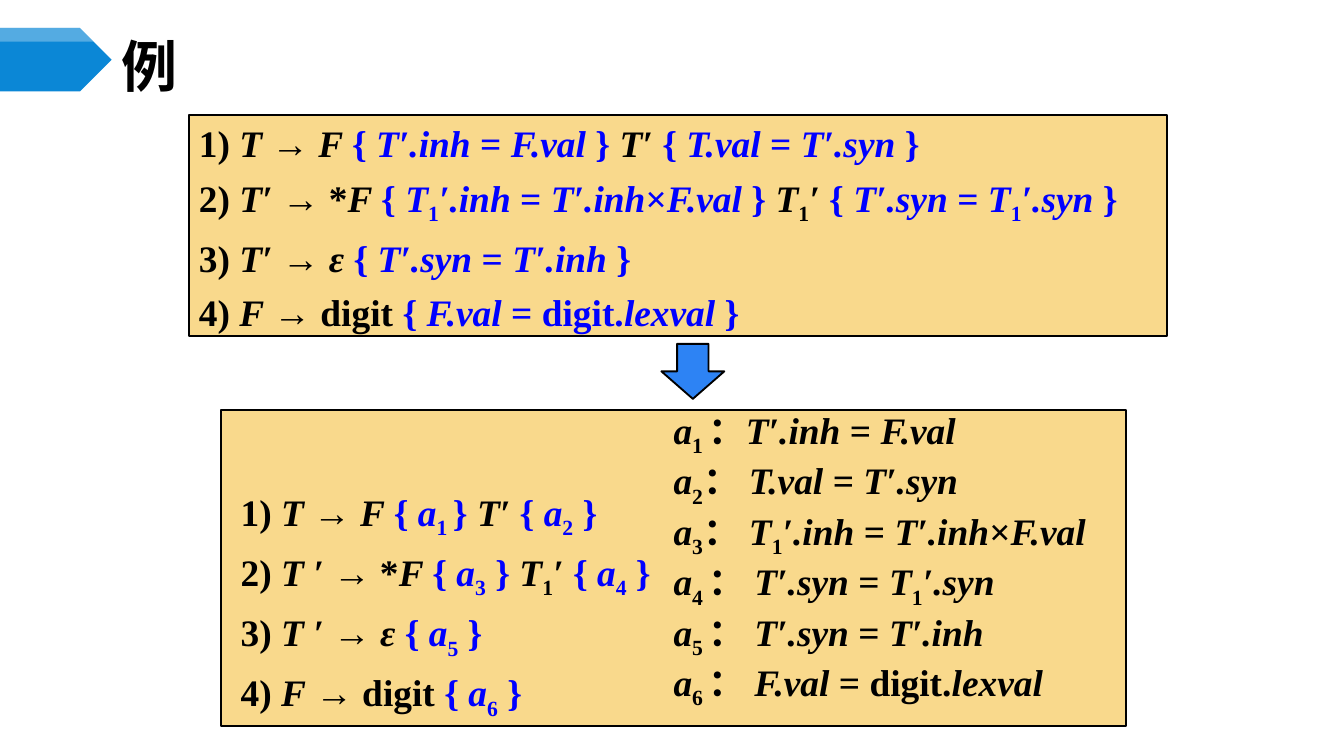
from lxml import etree
from pptx import Presentation, util as u
from pptx.dml.color import RGBColor
from pptx.enum import shapes, text
from pptx.oxml.ns import qn

FONT = "Times New Roman"
TITLE_FONT = "Noto Sans CJK SC"
BLACK, BLUE, SAND = "000000", "0000FF", "F9D98C"

# Markup: "/" toggles italic, "|" toggles blue, "~" toggles subscript
SCHEME = [
    "1) /T /→ /F /|{ /T′.inh /= /F.val/ } |/T′ /|{ /T.val /= /T′.syn/ }|",
    "2) /T′ /→ */F /|{ /T/~1~/′.inh /= /T′.inh/×/F.val/ } |/T/~1~/′ /"
    "|{ /T′.syn /= /T/~1~/′.syn/ }|",
    "3) /T′ /→ /ε /|{ /T′.syn /= /T′.inh/ }|",
    "4) /F/ → digit |{ /F.val/ = digit./lexval/ }|",
]
PRODUCTIONS = [
    "1) /T /→ /F /|{ /a/~1 ~} |/T′ /|{ /a/~2~ }|",
    "2) /T ′ /→ */F /|{ /a/~3~ } |/T/~1~/′ /|{ /a/~4~ }|",
    "3) /T ′ /→ /ε /|{ /a/~5~ }|",
    "4) /F/ → digit |{ /a/~6~ }|",
]
ACTIONS = [
    "/a/~1 ~：/T′.inh /= /F.val/",
    "/a/~2~： /T.val /= /T′.syn/",
    "/a/~3~： /T/~1~/′.inh /= /T′.inh/×/F.val/",
    "/a/~4 ~： /T′.syn /= /T/~1~/′.syn/",
    "/a/~5 ~： /T′.syn /= /T′.inh/",
    "/a/~6 ~： /F.val/ = digit./lexval/",
]


def color(value):
    return RGBColor.from_string(value)


def write_lines(shape, lines, gap, line_height=None, indent=0):
    frame = shape.text_frame
    frame.word_wrap = True
    frame.vertical_anchor = text.MSO_ANCHOR.TOP
    frame.margin_left = frame.margin_right = u.Cm(0.18)
    frame.margin_top = frame.margin_bottom = u.Cm(0.1)
    for index, line in enumerate(lines):
        paragraph = frame.add_paragraph() if index else frame.paragraphs[0]
        paragraph.alignment = text.PP_ALIGN.LEFT
        paragraph.space_before = u.Pt(gap if index else 0)
        if line_height:
            paragraph.line_spacing = u.Pt(line_height)
        if indent:
            properties = paragraph._p.get_or_add_pPr()
            properties.set("marL", str(u.Cm(indent)))
            properties.set("indent", str(-u.Cm(indent)))
        active = {"/": False, "|": False, "~": False}
        piece = ""
        for mark in line + "/":
            if mark not in active:
                piece += mark
                continue
            if piece:
                run = paragraph.add_run()
                run.text = piece
                run.font.name = FONT
                run.font.size = u.Pt(20)
                run.font.bold = True
                run.font.italic = active["/"]
                run.font.color.rgb = color(BLUE if active["|"] else BLACK)
                if active["~"]:
                    run.font._element.set("baseline", "-25000")
                piece = ""
            active[mark] = not active[mark]


presentation = Presentation()
presentation.slide_width = u.Cm(25.4)
presentation.slide_height = u.Cm(14.29)
slide = presentation.slides.add_slide(presentation.slide_layouts[5])

# Title
title = slide.shapes.title
title.left, title.top = u.Cm(2.11), u.Cm(0.74)
title.width, title.height = u.Cm(22.02), u.Cm(0.99)
frame = title.text_frame
frame.text = "例"
frame.auto_size = text.MSO_AUTO_SIZE.NONE
frame.vertical_anchor = text.MSO_ANCHOR.MIDDLE
frame.margin_left = frame.margin_right = u.Cm(0.18)
frame.margin_top = frame.margin_bottom = u.Cm(0.1)
paragraph = frame.paragraphs[0]
paragraph.alignment = text.PP_ALIGN.LEFT
run = paragraph.runs[0]
run.font.name = TITLE_FONT
run.font.size = u.Pt(30)
run.font.bold = True
run.font.color.rgb = color(BLACK)
run.font._element.set("spc", "300")
etree.SubElement(run.font._element, qn("a:ea")).set("typeface", TITLE_FONT)

# Title marker with a lighter top band
marker = slide.shapes.add_shape(
    shapes.MSO_SHAPE.PENTAGON, 0, u.Cm(0.53), u.Cm(2.11), u.Cm(1.2))
marker.shadow.inherit = False
marker.fill.solid()
marker.fill.fore_color.rgb = color("0B87D6")
marker.line.fill.background()

builder = slide.shapes.build_freeform(0, u.Cm(0.53))
builder.add_line_segments([
    (u.Cm(1.51), u.Cm(0.53)), (u.Cm(1.77), u.Cm(0.79)), (0, u.Cm(0.79))])
band = builder.convert_to_shape()
band.shadow.inherit = False
band.fill.solid()
band.fill.fore_color.rgb = color("FFFFFF")
band.line.fill.background()
band_color = band.fill._xPr.find(qn("a:solidFill"))[0]
etree.SubElement(band_color, qn("a:alpha")).set("val", "30000")

# Panels and the arrow between them
panels = []
for kind, left, top, width, height, fill in [
    (shapes.MSO_SHAPE.RECTANGLE, 4.17, 7.75, 17.12, 5.97, SAND),
    (shapes.MSO_SHAPE.RECTANGLE, 3.58, 2.18, 18.47, 4.17, SAND),
    (shapes.MSO_SHAPE.DOWN_ARROW, 12.5, 6.5, 1.19, 1.04, "2D83F4"),
]:
    shape = slide.shapes.add_shape(
        kind, u.Cm(left), u.Cm(top), u.Cm(width), u.Cm(height))
    shape.shadow.inherit = False
    shape.fill.solid()
    shape.fill.fore_color.rgb = color(fill)
    shape.line.color.rgb = color(BLACK)
    shape.line.width = u.Pt(1)
    panels.append(shape)

# Translation scheme in the upper panel
write_lines(panels[1], SCHEME, gap=5)

# Productions and their actions in the lower panel
for lines, left, top, width, height, gap, line_height in [
    (ACTIONS, 12.55, 7.75, 10.06, 4.62, 4, 23),
    (PRODUCTIONS, 4.37, 9.14, 8.23, 3.18, 5, None),
]:
    box = slide.shapes.add_textbox(
        u.Cm(left), u.Cm(top), u.Cm(width), u.Cm(height))
    write_lines(box, lines, gap, line_height, indent=0.71)

presentation.save("out.pptx")
